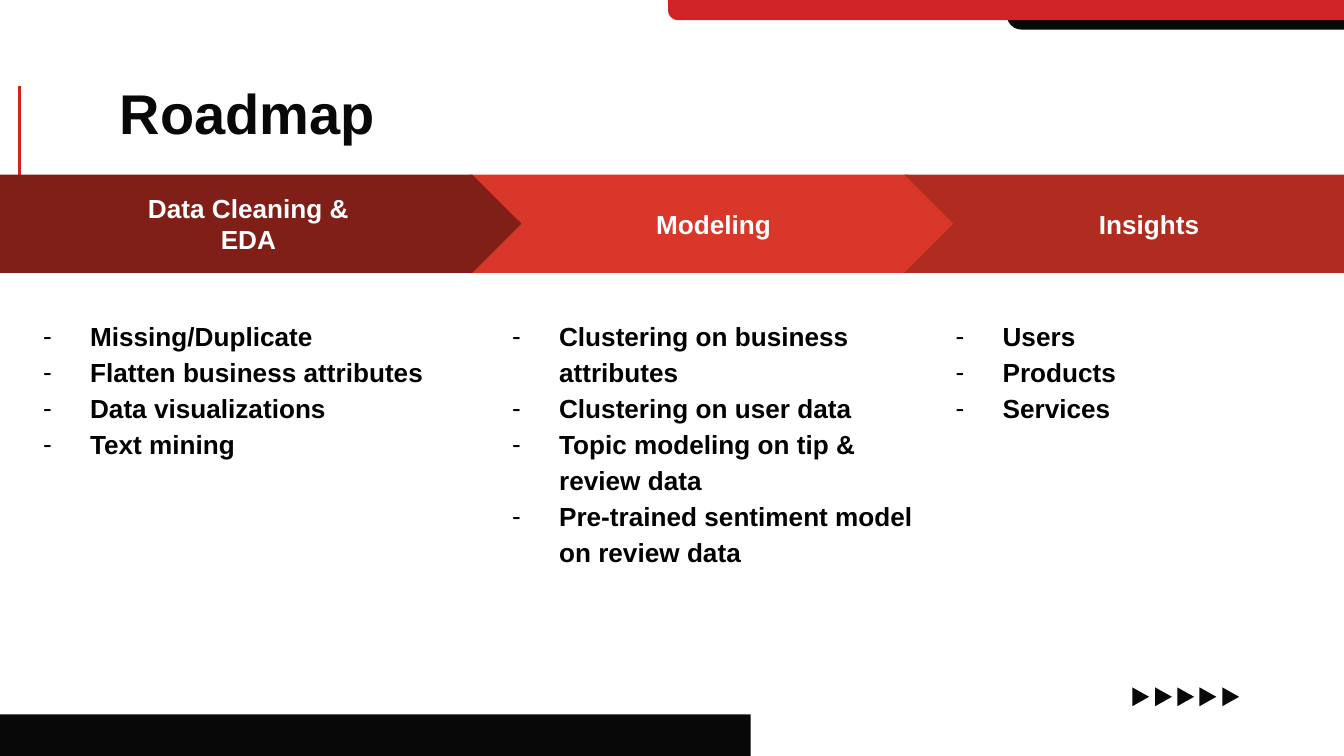
"""Build the Roadmap slide with three phases and their task lists."""
import pptx
import pptx.util
import pptx.dml.color
import pptx.enum.shapes
import pptx.enum.text
import pptx.oxml
import pptx.oxml.ns

PX = 4572
RGB = pptx.dml.color.RGBColor
INK = RGB(0x08, 0x08, 0x08)
RED = RGB(0xD0, 0x23, 0x26)
MAROON = RGB(0x80, 0x1F, 0x17)
CORAL = RGB(0xD8, 0x37, 0x29)
BRICK = RGB(0xB0, 0x2B, 0x20)
WHITE = RGB(0xFF, 0xFF, 0xFF)
BLACK = RGB(0x00, 0x00, 0x00)
FONT = "Arial"
KIND = pptx.enum.shapes.MSO_SHAPE
ALIGN = pptx.enum.text.PP_ALIGN
ANCHOR = pptx.enum.text.MSO_ANCHOR
BANNERS = [
    (KIND.CHEVRON, 700, 724, CORAL, ["Modeling"]),
    (KIND.PENTAGON, 0, 776, MAROON, ["Data Cleaning &", "EDA"]),
    (KIND.CHEVRON, 1346, 728, BRICK, ["Insights"]),
]
LISTS = [
    (1, 14, 686, ["Missing/Duplicate", "Flatten business attributes",
                  "Data visualizations", "Text mining"]),
    (2, 712, 698, ["Clustering on business attributes", "Clustering on user data",
                   "Topic modeling on tip & review data",
                   "Pre-trained sentiment model on review data"]),
    (4, 1372, 580, ["Users", "Products", "Services"]),
]


def emu(*sizes):
    """Turn px lengths into EMU."""
    return [size * PX for size in sizes]


def paint(shape, color):
    """Give a shape a flat fill with no line or shadow."""
    shape.shadow.inherit = False
    shape.fill.solid()
    shape.fill.fore_color.rgb = color
    shape.line.fill.background()


def add_block(slide, kind, box, color, turn=0):
    """Add a filled preset shape."""
    shape = slide.shapes.add_shape(kind, *emu(*box))
    shape.rotation = turn
    if len(shape.adjustments):
        shape.adjustments[0] = 0.5
    paint(shape, color)
    return shape


def add_arrow(slide, left, top):
    """Add a small triangle that points right."""
    pen = slide.shapes.build_freeform(left, top + 28, scale=PX)
    pen.add_line_segments([(left, top), (left + 25, top + 14)], close=True)
    paint(pen.convert_to_shape(), INK)


def add_rule(slide, left, top, tall):
    """Add an upright red line."""
    line = slide.shapes.add_connector(
        pptx.enum.shapes.MSO_CONNECTOR.STRAIGHT, *emu(left, top + tall, left, top))
    line.line.color.rgb = RED
    line.line.width = pptx.util.Pt(1.5)
    line._element.spPr.append(pptx.oxml.parse_xml(
        f"<a:effectLst {pptx.oxml.ns.nsdecls('a')}/>"))


def place(shape, box):
    """Move and size a placeholder."""
    shape.left, shape.top, shape.width, shape.height = emu(*box)


def set_frame(shape, anchor):
    """Set the margins, wrap and anchor of a text frame."""
    frame = shape.text_frame
    frame.auto_size = pptx.enum.text.MSO_AUTO_SIZE.NONE
    frame.word_wrap = True
    frame.vertical_anchor = anchor
    frame.margin_left = frame.margin_right = 20 * PX
    frame.margin_top = frame.margin_bottom = 20 * PX
    return frame


def add_run(para, text, size, color):
    """Add one bold run."""
    run = para.add_run()
    run.text = text
    run.font.name = FONT
    run.font.size = pptx.util.Pt(size)
    run.font.bold = True
    run.font.color.rgb = color


def add_dash(para):
    """Give a paragraph a hanging dash bullet."""
    props = para._p.get_or_add_pPr()
    props.set("marL", str(100 * PX))
    props.set("indent", str(-70 * PX))
    space = pptx.oxml.ns.nsdecls("a")
    for xml in (f'<a:buClr {space}><a:srgbClr val="{BLACK}"/></a:buClr>',
                f'<a:buFont {space} typeface="{FONT}"/>',
                f'<a:buChar {space} char="-"/>'):
        props.append(pptx.oxml.parse_xml(xml))


def fill_text(frame, lines, size, color, align, dash=False):
    """Write one paragraph for each line."""
    for i, text in enumerate(lines):
        para = frame.add_paragraph() if i else frame.paragraphs[0]
        if dash:
            add_dash(para)
            para.line_spacing = 1.15
        para.alignment = align
        para.space_before = pptx.util.Pt(0)
        add_run(para, text, size, color)


def add_decor(slide):
    """Add the bars, triangles and rule around the content."""
    add_block(slide, KIND.ROUND_1_RECTANGLE, (1498, 0, 502, 44), INK, 180)
    add_block(slide, KIND.RECTANGLE, (0, 1063, 1117, 62), INK)
    add_block(slide, KIND.ROUND_1_RECTANGLE, (994, 0, 1006, 30), RED, 180)
    for i in range(5):
        add_arrow(slide, 1685 + round(i * 33.5), 1023)
        add_rule(slide, 29, 128 + round(i * 20.5), 59)


def main():
    """Build and save the slide."""
    deck = pptx.Presentation()
    deck.slide_width, deck.slide_height = emu(2000, 1125)
    slide = deck.slides.add_slide(deck.slide_layouts.get_by_name("Comparison"))
    holders = {item.placeholder_format.idx: item for item in slide.placeholders}
    add_decor(slide)

    title = holders.pop(0)
    place(title, (158, 97, 1686, 126))
    fill_text(set_frame(title, ANCHOR.TOP), ["Roadmap"], 30, INK, ALIGN.LEFT)

    for kind, left, width, color, lines in BANNERS:
        shape = add_block(slide, kind, (left, 260, width, 146), color)
        frame = set_frame(shape, ANCHOR.MIDDLE)
        fill_text(frame, lines, 14, WHITE, ALIGN.CENTER)

    for key, left, width, lines in LISTS:
        body = holders.pop(key)
        place(body, (left, 450, width, 572))
        frame = set_frame(body, ANCHOR.TOP)
        fill_text(frame, lines, 14, BLACK, ALIGN.LEFT, dash=True)

    for spare in holders.values():
        spare._element.getparent().remove(spare._element)
    deck.save("out.pptx")


if __name__ == "__main__":
    main()
